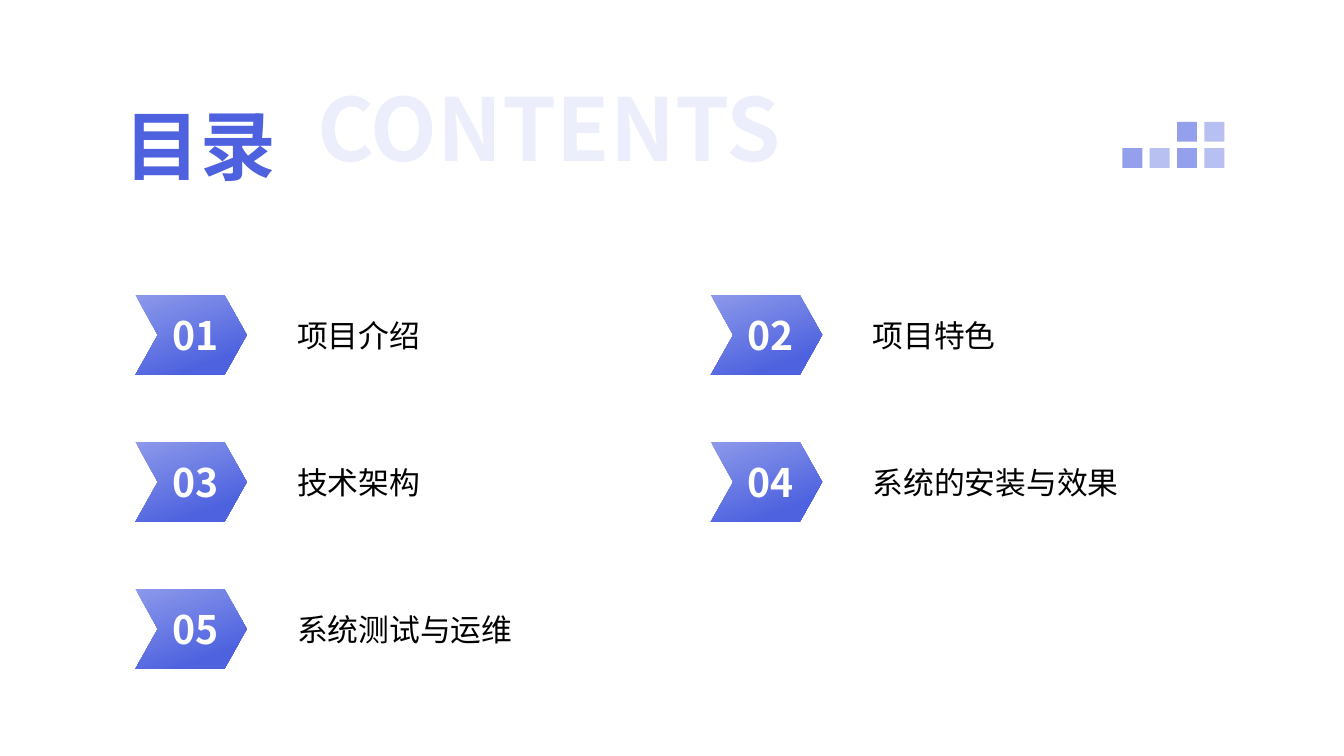
from dataclasses import dataclass

from lxml.etree import SubElement
from pptx import Presentation
from pptx.dml.color import RGBColor
from pptx.enum.shapes import MSO_SHAPE
from pptx.enum.text import MSO_ANCHOR, MSO_AUTO_SIZE, PP_ALIGN
from pptx.oxml.ns import qn
from pptx.util import Emu, Pt

EMU_PER_PX = 9525


@dataclass(frozen=True)
class Theme:
    accent: RGBColor = RGBColor(0x4E, 0x62, 0xDF)
    accent_light: RGBColor = RGBColor(0x8C, 0x99, 0xEA)
    white: RGBColor = RGBColor(0xFF, 0xFF, 0xFF)
    black: RGBColor = RGBColor(0, 0, 0)
    latin_font: str = "Arial"
    chinese_font: str = "Noto Sans CJK SC"
    title_size: int = 54
    backdrop_size: int = 62
    number_size: int = 28
    label_size: int = 22


@dataclass(frozen=True)
class Box:
    left: int
    top: int
    width: int
    height: int

    def emu(self) -> tuple[Emu, ...]:
        lengths = (self.left, self.top, self.width, self.height)
        return tuple(px(length) for length in lengths)


@dataclass(frozen=True)
class Square:
    column: int
    row: int
    opacity: int


@dataclass(frozen=True)
class TextStyle:
    size: int
    color: RGBColor
    font: str
    bold: bool = False
    opacity: int = 100


THEME = Theme()
TITLE_STYLE = TextStyle(THEME.title_size, THEME.accent, THEME.latin_font, bold=True)
BACKDROP_STYLE = TextStyle(THEME.backdrop_size, THEME.accent, THEME.chinese_font,
                           bold=True, opacity=10)
NUMBER_STYLE = TextStyle(THEME.number_size, THEME.white, THEME.chinese_font, bold=True)
LABEL_STYLE = TextStyle(THEME.label_size, THEME.black, THEME.latin_font)

SQUARES = [
    Square(3, 0, 40), Square(3, 1, 40), Square(2, 0, 60),
    Square(2, 1, 60), Square(1, 1, 40), Square(0, 1, 60),
]
CHAPTERS = ["项目介绍", "项目特色", "技术架构", "系统的安装与效果", "系统测试与运维"]
COLUMNS = 2
COLUMN_STEP, ROW_STEP = 548, 140


def px(length: int) -> Emu:
    return Emu(length * EMU_PER_PX)


def set_opacity(fill_parent, percent: int) -> None:
    color = next(fill_parent.iter(qn("a:srgbClr")))
    SubElement(color, qn("a:alpha"), val=str(percent * 1000))


def write(frame, text: str, style: TextStyle, anchor=MSO_ANCHOR.MIDDLE,
          align=PP_ALIGN.LEFT, wrap: bool = True, inset: int = 0) -> None:
    frame.auto_size = MSO_AUTO_SIZE.NONE
    frame.word_wrap = wrap
    frame.vertical_anchor = anchor
    frame.margin_left = px(inset)
    frame.margin_top = frame.margin_right = frame.margin_bottom = 0
    para = frame.paragraphs[0]
    para.alignment = align
    span = para.add_run()
    span.text = text
    span.font.size = Pt(style.size)
    span.font.bold = style.bold
    span.font.name = style.font
    span.font.color.rgb = style.color
    properties = span.font._element
    SubElement(properties, qn("a:ea"), typeface=THEME.chinese_font)
    if style.opacity < 100:
        set_opacity(properties, style.opacity)


def add_label(page, box: Box, text: str, style: TextStyle,
              anchor=MSO_ANCHOR.MIDDLE) -> None:
    write(page.shapes.add_textbox(*box.emu()).text_frame, text, style, anchor)


def add_square(page, square: Square) -> None:
    box = Box(1069 + 26 * square.column, 116 + 25 * square.row, 19, 19)
    shape = page.shapes.add_shape(MSO_SHAPE.RECTANGLE, *box.emu())
    shape.shadow.inherit = False
    shape.line.fill.background()
    shape.fill.solid()
    shape.fill.fore_color.rgb = THEME.accent
    set_opacity(shape._element.spPr, square.opacity)


def add_chevron(page, box: Box, number: str) -> None:
    shape = page.shapes.add_shape(MSO_SHAPE.CHEVRON, *box.emu())
    shape.adjustments[0] = 0.28
    shape.shadow.inherit = False
    shape.line.fill.background()
    shape.fill.gradient()
    shape.fill.gradient_angle = 290
    colors = ((0, THEME.accent_light), (0.8, THEME.accent))
    for stop, (position, color) in zip(shape.fill.gradient_stops, colors):
        stop.position = position
        stop.color.rgb = color
    write(shape.text_frame, number, NUMBER_STYLE, align=PP_ALIGN.CENTER,
          wrap=False, inset=8)


def add_chapter(page, index: int, name: str) -> None:
    row, column = divmod(index, COLUMNS)
    left, top = 129 + COLUMN_STEP * column, 281 + ROW_STEP * row
    add_chevron(page, Box(left, top, 106, 76), f"{index + 1:02d}")
    add_label(page, Box(left + 154, top - 21, 342, 118), name, LABEL_STYLE)


def main() -> None:
    deck = Presentation()
    deck.slide_width, deck.slide_height = px(1280), px(720)
    page = deck.slides.add_slide(deck.slide_layouts.get_by_name("Title Only"))

    # Corner ornament
    for square in SQUARES:
        add_square(page, square)

    # Heading with its pale backdrop word
    title = page.shapes.title
    title.left, title.top, title.width, title.height = Box(119, 89, 292, 97).emu()
    write(title.text_frame, "目录", TITLE_STYLE)
    add_label(page, Box(302, 71, 480, 120), "CONTENTS", BACKDROP_STYLE, MSO_ANCHOR.TOP)

    # Numbered chapters
    for index, name in enumerate(CHAPTERS):
        add_chapter(page, index, name)

    deck.save("out.pptx")


if __name__ == "__main__":
    main()
